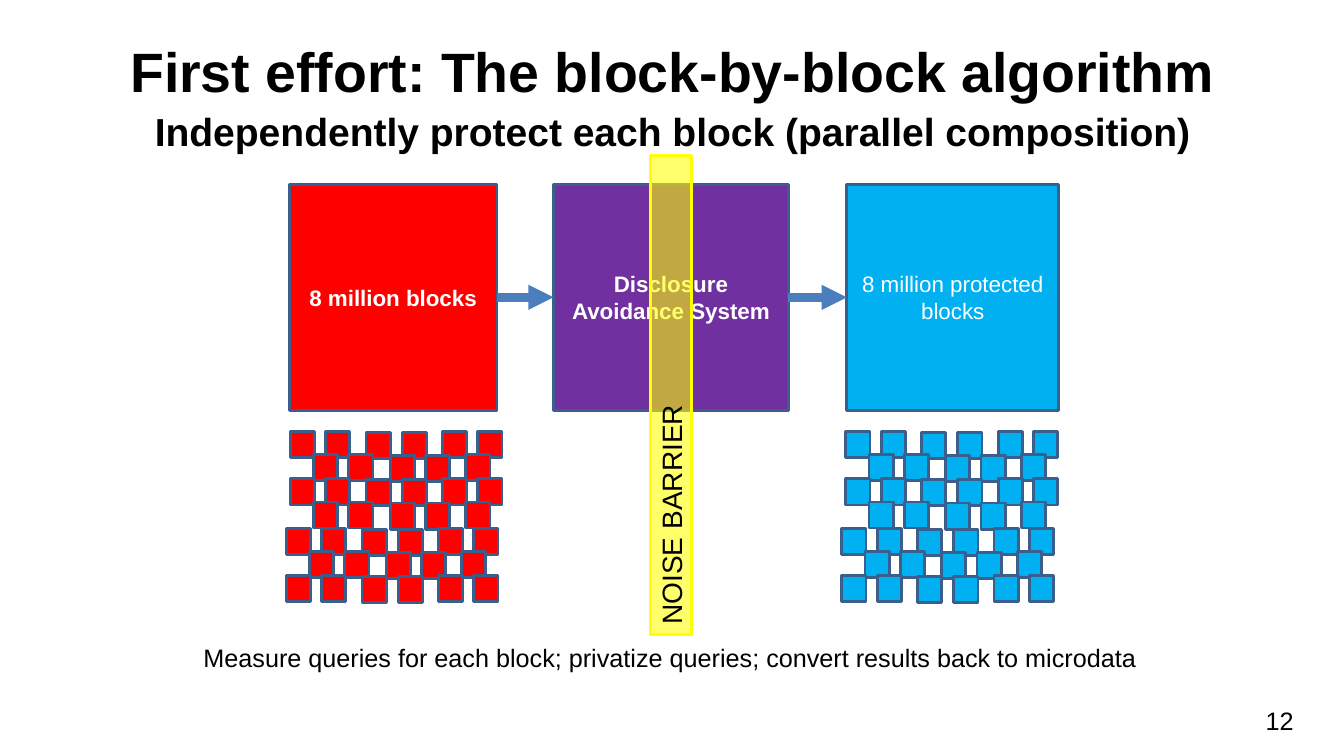
import pptx
import pptx.dml.color
import pptx.enum.shapes
import pptx.enum.text
import pptx.oxml
import pptx.oxml.ns
import pptx.util
from pptx.util import Inches

RGBColor = pptx.dml.color.RGBColor
ALIGN = pptx.enum.text.PP_ALIGN
ANCHOR = pptx.enum.text.MSO_ANCHOR
AUTO_SIZE = pptx.enum.text.MSO_AUTO_SIZE
RECTANGLE = pptx.enum.shapes.MSO_SHAPE.RECTANGLE
STRAIGHT = pptx.enum.shapes.MSO_CONNECTOR.STRAIGHT

RED = RGBColor(0xFF, 0x00, 0x00)
PURPLE = RGBColor(0x70, 0x30, 0xA0)
BLUE = RGBColor(0x00, 0xB0, 0xF0)
YELLOW = RGBColor(0xFF, 0xFF, 0x00)
OUTLINE = RGBColor(0x3A, 0x5F, 0x8C)
ARROW = RGBColor(0x4B, 0x7E, 0xBC)
BLACK = RGBColor(0x00, 0x00, 0x00)
WHITE = RGBColor(0xFF, 0xFF, 0xFF)

HEADING = [
    ("First effort: The block-by-block algorithm", 39.6),
    ("Independently protect each block (parallel composition)", 27.9),
]
STAGES = [
    ("8 million blocks", 2.87, 2.06, RED, True),
    ("Disclosure Avoidance System", 5.49, 2.33, PURPLE, True),
    ("8 million protected blocks", 8.4, 2.1, BLUE, False),
]
STAGE_TOP, STAGE_HEIGHT = 1.83, 2.24
BARRIER = "NOISE BARRIER"
CAPTION = "Measure queries for each block; privatize queries; convert results back to microdata"
PAGE = "12"

BLOCK_FIELDS = [(2.88, RED), (8.39, BLUE)]
BLOCK_WIDTH, BLOCK_HEIGHT = 0.24, 0.26
WIDE_ROW = [(0, 0), (0.35, 0), (0.75, 0.01), (1.11, 0.01), (1.51, 0), (1.86, 0)]
NARROW_ROW = [(0.23, 0), (0.58, 0), (0.99, 0.01), (1.34, 0.01), (1.74, 0)]
ROWS = [
    (0, 4.28, WIDE_ROW), (0, 4.51, NARROW_ROW),
    (0, 4.75, WIDE_ROW), (0, 4.98, NARROW_ROW),
    (-0.04, 5.24, WIDE_ROW), (-0.04, 5.47, NARROW_ROW),
    (-0.04, 5.71, WIDE_ROW),
]


def apply(target, values):
    for name, value in values.items():
        setattr(target, name, value)


def write(paragraph, text, size, color, bold=False):
    run = paragraph.add_run()
    run.text = text
    apply(run.font, {"name": "Arial", "size": pptx.util.Pt(size), "bold": bold})
    run.font.color.rgb = color


def add_box(left, top, width, height, fill, outline=OUTLINE):
    box = slide.shapes.add_shape(
        RECTANGLE, Inches(left), Inches(top), Inches(width), Inches(height))
    box.shadow.inherit = False
    box.fill.solid()
    box.fill.fore_color.rgb = fill
    box.line.color.rgb = outline
    box.line.width = pptx.util.Pt(2)
    apply(box.text_frame, {"word_wrap": True, "vertical_anchor": ANCHOR.MIDDLE})
    return box


def add_label(left, top, width, height, text, align, wrap):
    label = slide.shapes.add_textbox(
        Inches(left), Inches(top), Inches(width), Inches(height))
    label.text_frame.word_wrap = wrap
    paragraph = label.text_frame.paragraphs[0]
    paragraph.alignment = align
    write(paragraph, text, 18, BLACK)


def add_arrow(source, target):
    arrow = slide.shapes.add_connector(STRAIGHT, 0, 0, 0, 0)
    arrow.begin_connect(source, 3)
    arrow.end_connect(target, 1)
    arrow.line.color.rgb = ARROW
    arrow.line.width = pptx.util.Pt(6)
    head = pptx.oxml.parse_xml(
        f'<a:tailEnd {pptx.oxml.ns.nsdecls("a")} type="triangle"/>')
    arrow.line._get_or_add_ln().append(head)
    effects = pptx.oxml.parse_xml(f'<a:effectLst {pptx.oxml.ns.nsdecls("a")}/>')
    arrow._element.spPr.append(effects)


presentation = pptx.Presentation()
apply(presentation, {"slide_width": Inches(13.33), "slide_height": Inches(7.5)})
slide = presentation.slides.add_slide(presentation.slide_layouts[5])

heading = slide.shapes.title
apply(heading, {"left": Inches(0.67), "top": Inches(0.3),
                "width": Inches(12), "height": Inches(1.25)})
apply(heading.text_frame, {"word_wrap": True, "auto_size": AUTO_SIZE.NONE,
                           "vertical_anchor": ANCHOR.MIDDLE})
heading_lines = heading.text_frame.paragraphs[0]
apply(heading_lines, {"alignment": ALIGN.CENTER, "line_spacing": 1.07})
for index, (text, size) in enumerate(HEADING):
    if index:
        heading_lines.add_line_break()
    write(heading_lines, text, size, BLACK, True)

stages = []
for text, left, width, fill, bold in STAGES:
    stage = add_box(left, STAGE_TOP, width, STAGE_HEIGHT, fill)
    paragraph = stage.text_frame.paragraphs[0]
    paragraph.alignment = ALIGN.CENTER
    write(paragraph, text, 16, WHITE, bold)
    stages.append(stage)
for source, target in zip(stages, stages[1:]):
    add_arrow(source, target)

for field_left, fill in BLOCK_FIELDS:
    for shift, row_top, row in ROWS:
        for across, down in row:
            add_box(field_left + shift + across, row_top + down,
                    BLOCK_WIDTH, BLOCK_HEIGHT, fill)

add_label(10.1, 6.95, 2.83, 0.39, PAGE, ALIGN.RIGHT, True)

barrier = add_box(4.28, 3.72, 4.75, 0.4, YELLOW, YELLOW)
barrier.rotation = 270
barrier_color = barrier._element.spPr.find(
    f'{pptx.oxml.ns.qn("a:solidFill")}/{pptx.oxml.ns.qn("a:srgbClr")}')
barrier_color.append(pptx.oxml.parse_xml(
    f'<a:alpha {pptx.oxml.ns.nsdecls("a")} val="58000"/>'))
barrier_text = barrier.text_frame.paragraphs[0]
barrier_text.alignment = ALIGN.LEFT
write(barrier_text, BARRIER, 20, BLACK)

add_label(1.92, 6.32, 9.46, 0.4, CAPTION, ALIGN.LEFT, False)

presentation.save("out.pptx")
